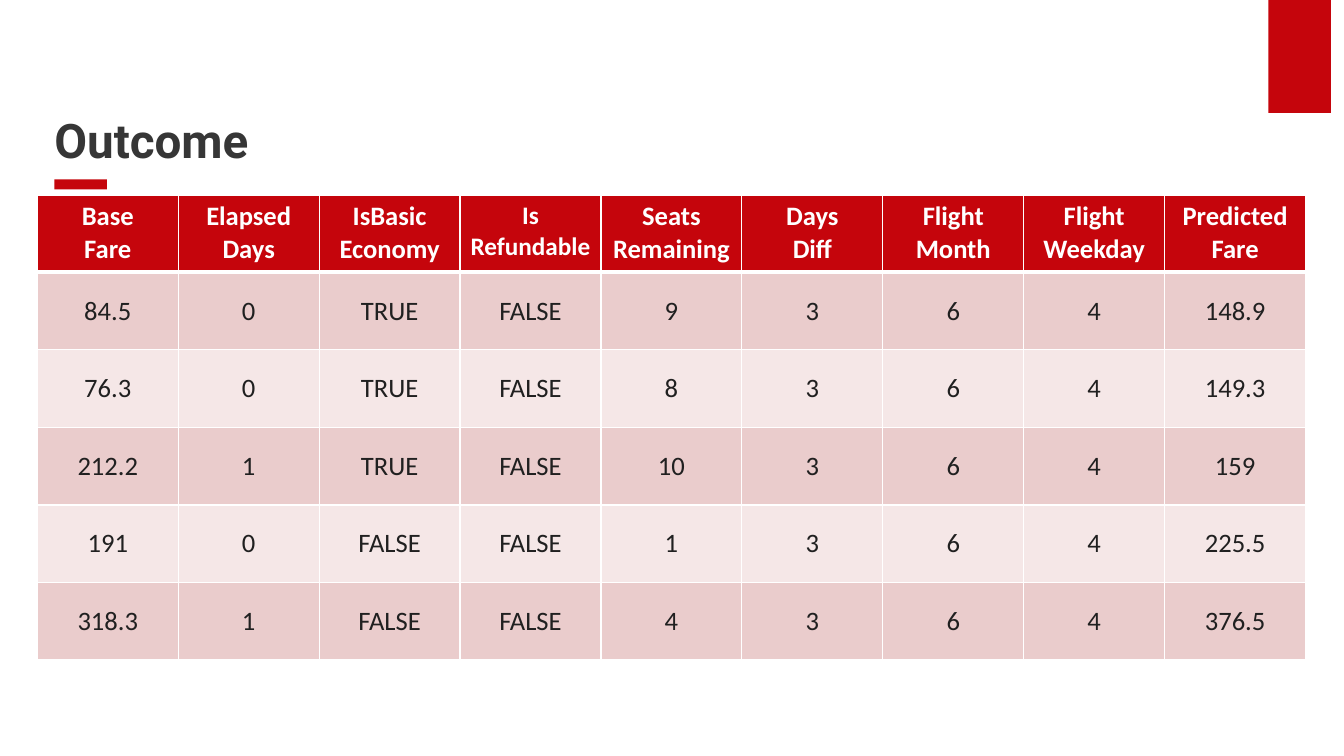
from pptx import Presentation
from pptx.dml.color import RGBColor
from pptx.enum.shapes import MSO_SHAPE
from pptx.enum.text import MSO_ANCHOR, PP_ALIGN
from pptx.oxml.ns import qn
from pptx.util import Inches, Pt
from lxml.etree import SubElement

RED = RGBColor(0xC5, 0x05, 0x0C)
PINK = RGBColor(0xEA, 0xCC, 0xCC)
PALE_PINK = RGBColor(0xF5, 0xE7, 0xE7)
WHITE = RGBColor(0xFF, 0xFF, 0xFF)
TITLE_GREY = RGBColor(0x36, 0x36, 0x36)
BODY_GREY = RGBColor(0x20, 0x20, 0x20)

HEADERS = [
    ("Base", "Fare"), ("Elapsed", "Days"), ("IsBasic", "Economy"),
    ("Is", "Refundable"), ("Seats", "Remaining"), ("Days", "Diff"),
    ("Flight", "Month"), ("Flight", "Weekday"), ("Predicted", "Fare"),
]
FARES = [
    ("84.5", "0", "TRUE", "FALSE", "9", "3", "6", "4", "148.9"),
    ("76.3", "0", "TRUE", "FALSE", "8", "3", "6", "4", "149.3"),
    ("212.2", "1", "TRUE", "FALSE", "10", "3", "6", "4", "159"),
    ("191", "0", "FALSE", "FALSE", "1", "3", "6", "4", "225.5"),
    ("318.3", "1", "FALSE", "FALSE", "4", "3", "6", "4", "376.5"),
]


def add_run(p, text, font, size, color, bold):
    r = p.add_run()
    r.text = text
    r.font.name = font
    r.font.size = Pt(size)
    r.font.color.rgb = color
    r.font.bold = bold


def add_bar(slide, left, top, width, height):
    sp = slide.shapes.add_shape(MSO_SHAPE.RECTANGLE, Inches(left), Inches(top),
                                Inches(width), Inches(height))
    sp.shadow.inherit = False
    sp.fill.solid()
    sp.fill.fore_color.rgb = RED
    sp.line.fill.background()


def add_title(slide, text, left, top, width, height):
    add_bar(slide, left, top + height + 0.11, 0.52, 0.1)
    tb = slide.shapes.add_textbox(Inches(left), Inches(top),
                                  Inches(width), Inches(height))
    tf = tb.text_frame
    tf.word_wrap = True
    tf.vertical_anchor = MSO_ANCHOR.BOTTOM
    tf.margin_left = tf.margin_bottom = 0
    p = tf.paragraphs[0]
    p.line_spacing = 0.9
    add_run(p, text, "Roboto", 34, TITLE_GREY, True)


def set_borders(cell, top=1, bottom=1):
    tc_pr = cell._tc.get_or_add_tcPr()
    for side, width in (("L", 1), ("R", 1), ("T", top), ("B", bottom)):
        ln = SubElement(tc_pr, qn(f"a:ln{side}"), w=str(Pt(width)))
        fill = SubElement(ln, qn("a:solidFill"))
        SubElement(fill, qn("a:srgbClr"), val=str(WHITE))


def fill_cell(cell, lines, size, color, bold, fill):
    cell.fill.solid()
    cell.fill.fore_color.rgb = fill
    tf = cell.text_frame
    for i, line in enumerate(lines):
        p = tf.add_paragraph() if i else tf.paragraphs[0]
        p.alignment = PP_ALIGN.CENTER
        add_run(p, line, "Calibri", size, color, bold)


def add_fare_table(slide, left, top, width, header_height, row_height):
    height = header_height + row_height * len(FARES)
    table = slide.shapes.add_table(
        len(FARES) + 1, len(HEADERS), Inches(left), Inches(top),
        Inches(width), Inches(height)).table
    for col in table.columns:
        col.width = Inches(width / len(HEADERS))
    for i, row in enumerate(table.rows):
        row.height = Inches(row_height if i else header_height)
    for c, lines in enumerate(HEADERS):
        cell = table.cell(0, c)
        set_borders(cell, bottom=3)
        size = 18 if "Refundable" in lines else 19
        fill_cell(cell, lines, size, WHITE, True, RED)
    for r, values in enumerate(FARES, 1):
        for c, value in enumerate(values):
            cell = table.cell(r, c)
            set_borders(cell, top=3 if r == 1 else 1)
            cell.vertical_anchor = MSO_ANCHOR.MIDDLE
            fill_cell(cell, [value], 19, BODY_GREY, False,
                      PINK if r % 2 else PALE_PINK)


def main():
    prs = Presentation()
    prs.slide_width = Inches(13.33)
    prs.slide_height = Inches(7.5)
    slide = prs.slides.add_slide(prs.slide_layouts[6])
    add_bar(slide, 12.58, 0, 0.62, 1.12)
    add_title(slide, "Outcome", 0.54, 0.5, 11.67, 1.17)
    add_fare_table(slide, 0.37, 1.94, 12.58, 0.76, 0.77)
    prs.save("out.pptx")


if __name__ == "__main__":
    main()
